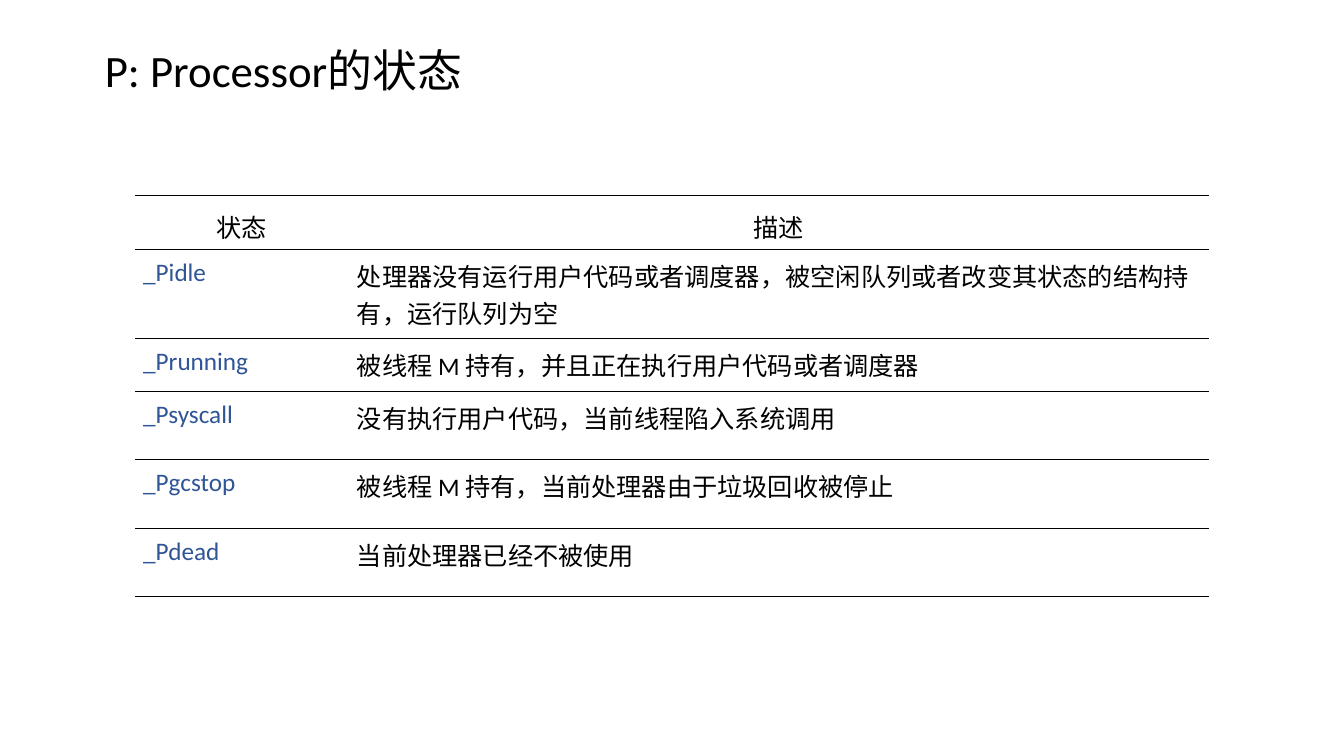
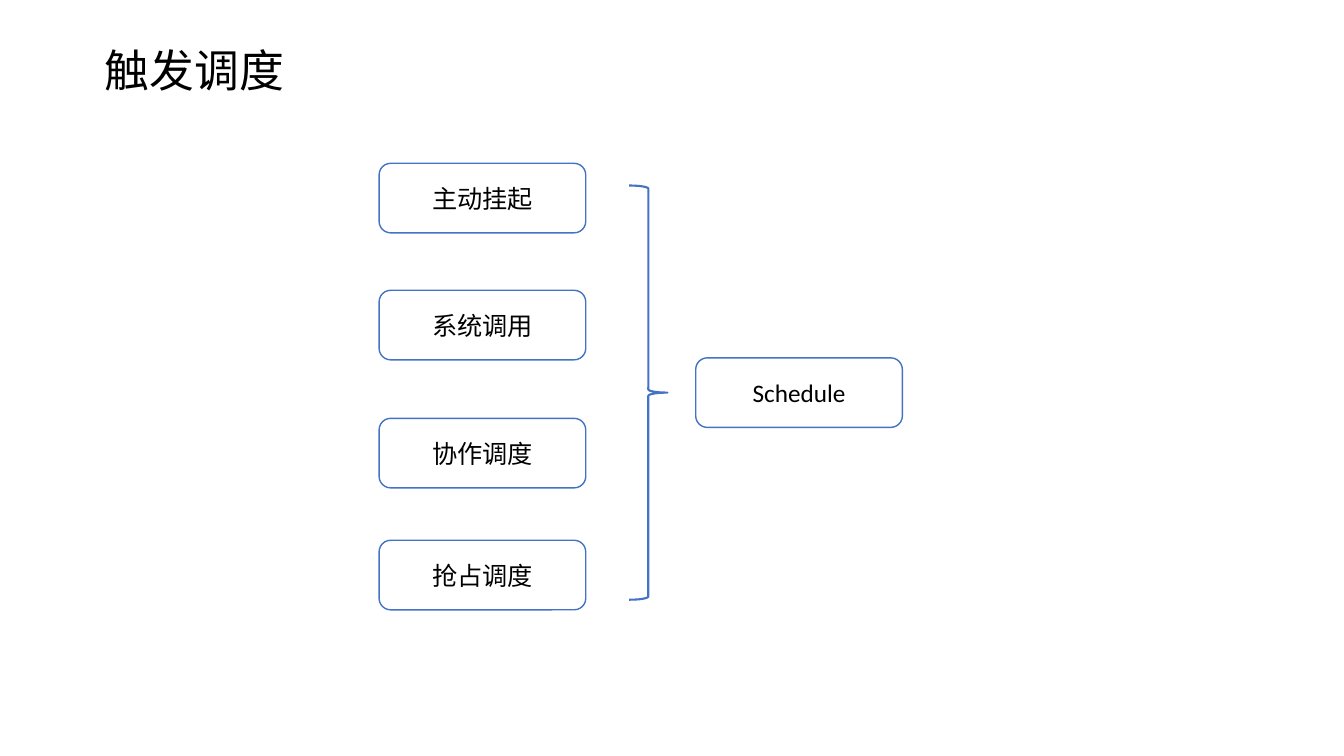
from lxml import etree
from pptx import Presentation
from pptx.dml.color import RGBColor
from pptx.enum.shapes import MSO_SHAPE
from pptx.enum.text import MSO_ANCHOR, PP_ALIGN
from pptx.oxml.ns import qn
from pptx.util import Inches, Pt

BLACK = RGBColor(0x00, 0x00, 0x00)
WHITE = RGBColor(0xFF, 0xFF, 0xFF)
STATE_BLUE = RGBColor(0x2F, 0x55, 0x97)
OUTLINE_BLUE = RGBColor(0x44, 0x72, 0xC4)
FONT = "Calibri"
TITLE_ONLY = 5
TITLE_BOX = (0.84, 0.32, 11.97, 0.8)
BOX_WIDTH, BOX_HEIGHT = 2.05, 0.69

STATES = [
    ("状态", "描述"),
    ("_Pidle", "处理器没有运行用户代码或者调度器，被空闲队列或者改变其状态的结构持有，运行队列为空"),
    ("_Prunning", "被线程 M 持有，并且正在执行用户代码或者调度器"),
    ("_Psyscall", "没有执行用户代码，当前线程陷入系统调用"),
    ("_Pgcstop", "被线程 M 持有，当前处理器由于垃圾回收被停止"),
    ("_Pdead", "当前处理器已经不被使用"),
]
ROW_HEIGHTS = (0.49, 0.49, 0.49, 0.68, 0.68, 0.68)
COLUMN_WIDTHS = (2.12, 8.53)
TRIGGERS = {"主动挂起": 0, "系统调用": 1.26, "协作调度": 2.53, "抢占调度": 3.74}


def inches(*lengths):
    return [Inches(length) for length in lengths]


def style_paragraph(paragraph, size, color, alignment=PP_ALIGN.LEFT, spacing=1.0):
    paragraph.alignment = alignment
    paragraph.line_spacing = spacing
    paragraph.font.name = FONT
    paragraph.font.size = Pt(size)
    paragraph.font.color.rgb = color


def add_titled_slide(presentation, text):
    slide = presentation.slides.add_slide(presentation.slide_layouts[TITLE_ONLY])
    title = slide.shapes.title
    title.left, title.top, title.width, title.height = inches(*TITLE_BOX)
    frame = title.text_frame
    frame.text = text
    frame.vertical_anchor = MSO_ANCHOR.MIDDLE
    frame.margin_left = Inches(0.2)
    style_paragraph(frame.paragraphs[0], 32, BLACK, spacing=0.9)
    return slide


def set_horizontal_rules(cell):
    properties = cell._tc.get_or_add_tcPr()
    for index, side in enumerate(("lnL", "lnR", "lnT", "lnB")):
        line = etree.Element(qn(f"a:{side}"), w=str(Pt(1)))
        properties.insert(index, line)
        if side in ("lnL", "lnR"):
            etree.SubElement(line, qn("a:noFill"))
        else:
            fill = etree.SubElement(line, qn("a:solidFill"))
            etree.SubElement(fill, qn("a:srgbClr"), val=str(BLACK))


def fill_cell(cell, text, is_header, is_state):
    cell.text = text
    cell.fill.background()
    set_horizontal_rules(cell)
    paragraph = cell.text_frame.paragraphs[0]
    if is_header:
        style_paragraph(paragraph, 18, BLACK, PP_ALIGN.CENTER, 1.2)
        return
    cell.margin_left = cell.margin_right = Inches(0.08)
    cell.margin_top = cell.margin_bottom = Inches(0.08)
    style_paragraph(paragraph, 18, STATE_BLUE if is_state else BLACK)


def add_state_table(slide, left, top):
    frame = slide.shapes.add_table(
        len(STATES), len(COLUMN_WIDTHS),
        *inches(left, top, sum(COLUMN_WIDTHS), sum(ROW_HEIGHTS)))
    table = frame.table
    table.first_row = table.horz_banding = False
    for column, width in zip(table.columns, COLUMN_WIDTHS):
        column.width = Inches(width)
    for row_index, (row, height) in enumerate(zip(table.rows, ROW_HEIGHTS)):
        row.height = Inches(height)
        for column_index, text in enumerate(STATES[row_index]):
            fill_cell(row.cells[column_index], text, row_index == 0, column_index == 0)


def add_outlined_shape(slide, preset, box, line_width):
    shape = slide.shapes.add_shape(preset, *inches(*box))
    shape.shadow.inherit = False
    shape.fill.background()
    shape.line.color.rgb = OUTLINE_BLUE
    shape.line.width = Pt(line_width)
    return shape


def add_label_box(slide, text, left, top):
    box = (left, top, BOX_WIDTH, BOX_HEIGHT)
    shape = add_outlined_shape(slide, MSO_SHAPE.ROUNDED_RECTANGLE, box, 1)
    shape.fill.solid()
    shape.fill.fore_color.rgb = WHITE
    shape.text_frame.text = text
    shape.text_frame.vertical_anchor = MSO_ANCHOR.MIDDLE
    style_paragraph(shape.text_frame.paragraphs[0], 18, BLACK, PP_ALIGN.CENTER)


def add_trigger_diagram(slide, left, top):
    for text, offset in TRIGGERS.items():
        add_label_box(slide, text, left, top + offset)
    brace_box = (left + 2.48, top + 0.22, 0.38, 4.11)
    add_outlined_shape(slide, MSO_SHAPE.RIGHT_BRACE, brace_box, 1.5)
    add_label_box(slide, "Schedule", left + 3.14, top + 1.93)


def main():
    presentation = Presentation()
    presentation.slide_width, presentation.slide_height = inches(13.33, 7.5)
    add_state_table(add_titled_slide(presentation, "P: Processor的状态"), 1.34, 1.94)
    add_trigger_diagram(add_titled_slide(presentation, "触发调度"), 3.76, 1.62)
    presentation.save("out.pptx")


if __name__ == "__main__":
    main()
